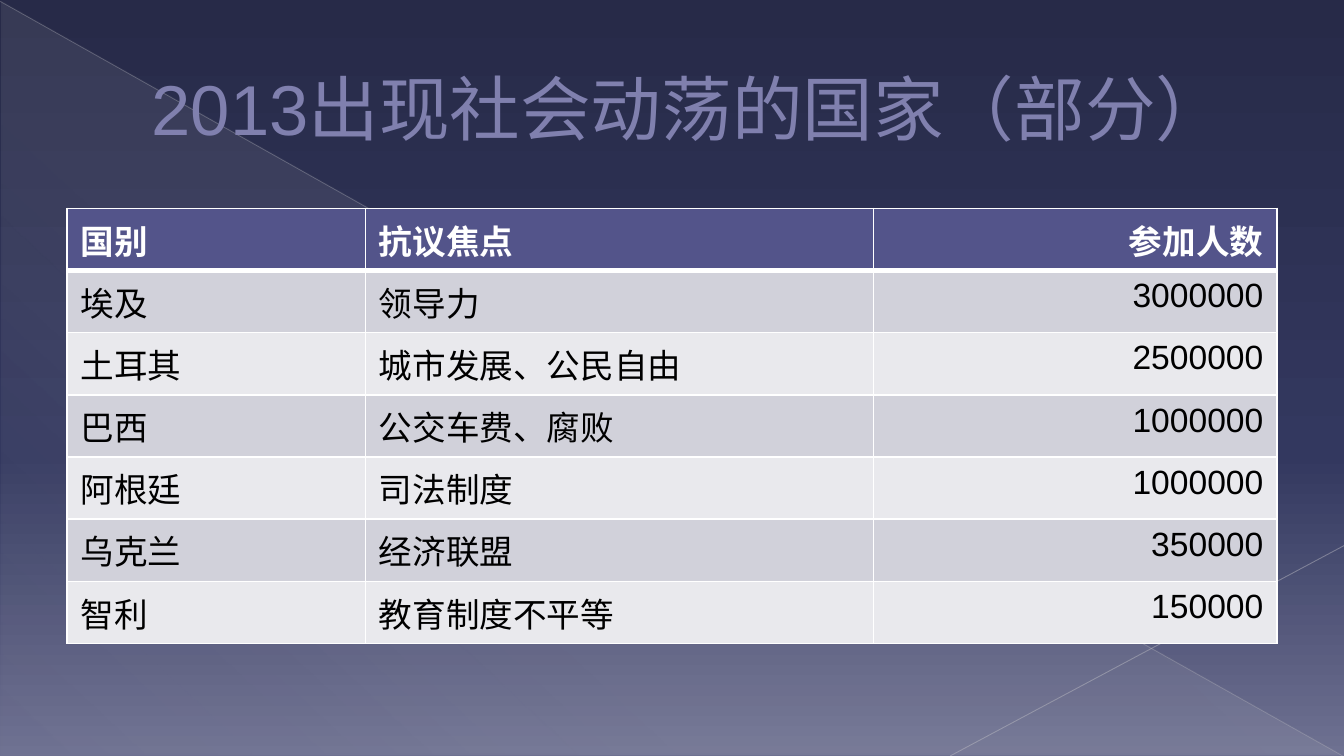
from lxml import etree
from pptx import Presentation
from pptx.dml.color import RGBColor
from pptx.enum.shapes import MSO_CONNECTOR, MSO_SHAPE
from pptx.enum.text import MSO_ANCHOR, PP_ALIGN
from pptx.oxml.ns import qn
from pptx.util import Inches, Pt

WIDTH = 10
HEIGHT = WIDTH * 9 / 16
FONT = "Arial"
HEADER_FILL, BAND_FILLS = "53548A", ("D1D1DA", "E9E9ED")
COLUMN_WIDTHS = (2.22, 3.78, 3)
ROWS = (
    ("国别", "抗议焦点", "参加人数"),
    ("埃及", "领导力", "3000000"),
    ("土耳其", "城市发展、公民自由", "2500000"),
    ("巴西", "公交车费、腐败", "1000000"),
    ("阿根廷", "司法制度", "1000000"),
    ("乌克兰", "经济联盟", "350000"),
    ("智利", "教育制度不平等", "150000"),
)


def color(hex_string):
    return RGBColor.from_string(hex_string)


def add_color(parent, hex_string, opacity=100):
    element = etree.SubElement(parent, qn("a:srgbClr"), val=hex_string)
    if opacity < 100:
        etree.SubElement(element, qn("a:alpha"), val=str(opacity * 1000))


def set_gradient(fill, owner, stops, angle):
    """Fill with (position, colour, opacity) stops; owner is the element holding the fill."""
    fill.gradient()
    gradient = next(owner.iter(qn("a:gradFill")))
    stop_list = gradient.find(qn("a:gsLst"))
    for stop in list(stop_list):
        stop_list.remove(stop)
    for position, hex_string, opacity in stops:
        stop = etree.SubElement(stop_list, qn("a:gs"), pos=str(position * 1000))
        add_color(stop, hex_string, opacity)
    gradient.find(qn("a:lin")).set("ang", str(angle * 60000))


def add_outline(parent, tag, hex_string, points):
    line = etree.SubElement(parent, qn(tag), w=str(Pt(points)))
    add_color(etree.SubElement(line, qn("a:solidFill")), hex_string)
    return line


def add_run(paragraph, text, size, hex_string, bold=False):
    run = paragraph.add_run()
    run.text = text
    font = run.font
    font.name, font.size, font.bold = FONT, Pt(size), bold
    font.color.rgb = color(hex_string)
    return run


def add_thin_line(slide, start, end, hex_string, points, opacity):
    ends = [Inches(value) for value in (*start, *end)]
    connector = slide.shapes.add_connector(MSO_CONNECTOR.STRAIGHT, *ends)
    connector.line.width = Pt(points)
    connector.line.color.rgb = color(hex_string)
    properties = connector._element.spPr
    rgb = next(properties.iter(qn("a:srgbClr")))
    etree.SubElement(rgb, qn("a:alpha"), val=str(opacity * 1000))
    etree.SubElement(properties, qn("a:effectLst"))


def add_backdrop(slide, width, height):
    set_gradient(slide.background.fill, slide._element,
                 [(0, "272A48", 100), (60, "33385F", 100), (100, "6E7191", 100)], 90)
    triangle = slide.shapes.add_shape(
        MSO_SHAPE.RIGHT_TRIANGLE, Inches(0.01), Inches(0.01),
        Inches(width - 0.02), Inches(height - 0.02))
    triangle.shadow.inherit = False
    triangle.line.fill.background()
    set_gradient(triangle.fill, triangle._element.spPr,
                 [(0, "DEDEDE", 10), (70, "DEDEDE", 8), (100, "DEDEDE", 1)], 133)
    add_thin_line(slide, (0, 0.01), (width - 0.01, height), "B7B7BE", 0.39, 35)
    add_thin_line(slide, (width, 4.06), (7.07, height), "BFBFC5", 0.47, 45)


def add_title(slide, left, top, width, height):
    box = slide.shapes.add_textbox(*map(Inches, (left, top, width, height)))
    frame = box.text_frame
    frame.word_wrap = True
    frame.vertical_anchor = MSO_ANCHOR.MIDDLE
    paragraph = frame.paragraphs[0]
    paragraph._p.get_or_add_pPr().set("marL", str(Inches(0.53)))
    run = add_run(paragraph, "2013出现社会动荡的国家（部分）", 37.8, "8080AE")
    properties = run._r.get_or_add_rPr()
    properties.insert(0, add_outline(properties, "a:ln", "3A3A60", 0.5))


def style_cell(cell, text, row, column):
    is_header = row == 0
    properties = cell._tc.get_or_add_tcPr()
    borders = {"L": 1, "R": 1, "T": 3 if row == 1 else 1, "B": 3 if is_header else 1}
    for side, points in borders.items():
        add_outline(properties, f"a:ln{side}", "FFFFFF", points)
    cell.fill.solid()
    cell.fill.fore_color.rgb = color(HEADER_FILL if is_header else BAND_FILLS[(row - 1) % 2])
    paragraph = cell.text_frame.paragraphs[0]
    if column == len(COLUMN_WIDTHS) - 1:
        paragraph.alignment = PP_ALIGN.RIGHT
    add_run(paragraph, text, 18, "FFFFFF" if is_header else "000000", is_header)


def add_country_table(slide, left, top, width, height):
    table = slide.shapes.add_table(
        len(ROWS), len(COLUMN_WIDTHS), *map(Inches, (left, top, width, height))).table
    for column, share in zip(table.columns, COLUMN_WIDTHS):
        column.width = Inches(width * share / sum(COLUMN_WIDTHS))
    for row, texts in enumerate(ROWS):
        for column, text in enumerate(texts):
            style_cell(table.cell(row, column), text, row, column)


def main():
    presentation = Presentation()
    presentation.slide_width, presentation.slide_height = Inches(WIDTH), Inches(HEIGHT)
    slide = presentation.slides.add_slide(presentation.slide_layouts[6])
    margin = 0.05 * WIDTH
    content_width = WIDTH - 2 * margin
    add_backdrop(slide, WIDTH, HEIGHT)
    add_title(slide, margin, 0.22, content_width, 1.15)
    add_country_table(slide, margin, 1.55, content_width, 3.24)
    presentation.save("out.pptx")


if __name__ == "__main__":
    main()
